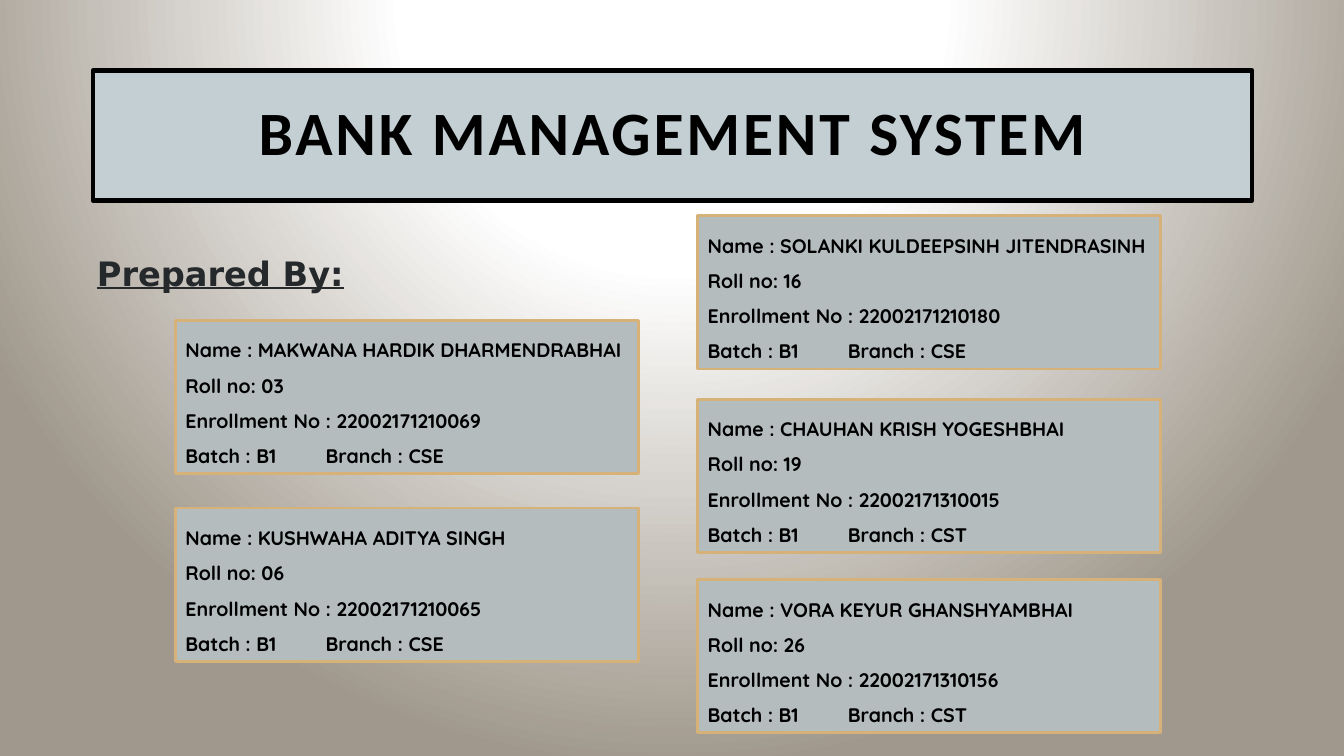
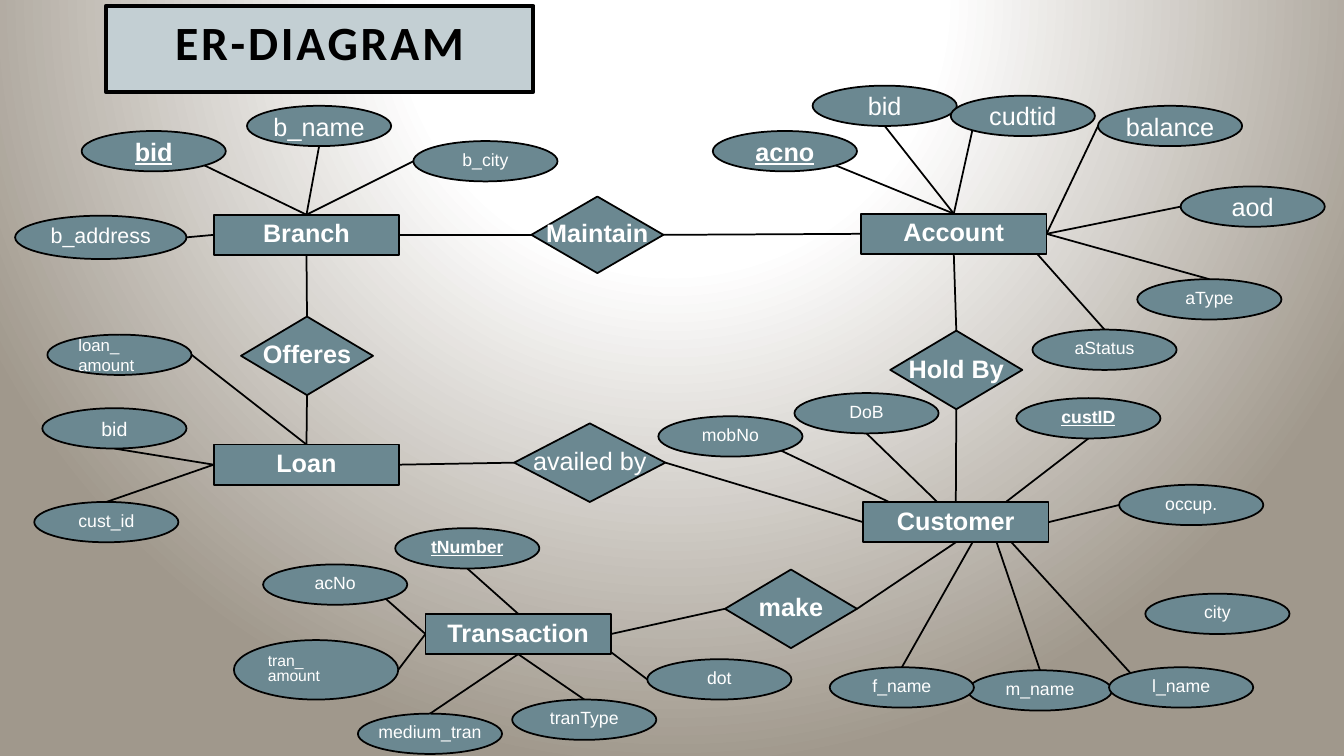
from dataclasses import dataclass

from pptx import Presentation
from pptx.dml.color import RGBColor
from pptx.enum import shapes, text
from pptx.oxml import parse_xml
from pptx.oxml.ns import nsdecls
from pptx.util import Inches, Pt

BLACK = RGBColor(0x00, 0x00, 0x00)
WHITE = RGBColor(0xFF, 0xFF, 0xFF)
INK = RGBColor(0x25, 0x29, 0x2B)
TITLE_FILL = RGBColor(0xC3, 0xCF, 0xD3)
CARD_FILL = RGBColor(0xB4, 0xBC, 0xBE)
CARD_EDGE = RGBColor(0xD6, 0xB2, 0x78)
NODE_FILL = RGBColor(0x6B, 0x88, 0x91)
BACKDROP_EDGE = RGBColor(0xA0, 0x98, 0x8C)

RECT = shapes.MSO_SHAPE.RECTANGLE
OVAL = shapes.MSO_SHAPE.OVAL
DIAMOND = shapes.MSO_SHAPE.DIAMOND
LEFT, CENTER = text.PP_ALIGN.LEFT, text.PP_ALIGN.CENTER

# Font size and line spacing
LARGE = (18, 1)
SMALL = (12.6, 0.8)
STRONG = (18, 0.9)

# Anchor points as fractions of a node's width and height
ANCHORS = {
    "n": (0.5, 0), "s": (0.5, 1), "w": (0, 0.5), "e": (1, 0.5),
    "nw": (0.15, 0.15), "sw": (0.15, 0.85), "se": (0.85, 0.85),
}


@dataclass
class Entity:
    text: str
    x: float
    y: float
    w: float = 1.84
    h: float = 0.4


@dataclass
class Attribute:
    """An oval; own and far are the anchors of its line to the entity."""
    text: str
    x: float
    y: float
    own: object = None
    far: object = None
    font: tuple = SMALL
    key: bool = False
    w: float = 1.43
    h: float = 0.4


@dataclass
class Relation:
    """A diamond; ends lists (own anchor, entity, entity anchor)."""
    text: str
    x: float
    y: float
    ends: list
    w: float = 1.31
    h: float = 0.78
    bold: bool = True


BRANCH = Entity("Branch", 2.12, 2.13)
ACCOUNT = Entity("Account", 8.54, 2.12)
LOAN = Entity("Loan", 2.12, 4.41)
CUSTOMER = Entity("Customer", 8.56, 4.98)
TRANSACTION = Entity("Transaction", 4.22, 6.09)

DIAGRAM = [
    (BRANCH, [
        Attribute("b_name", 2.45, 1.05, "s", "n", LARGE),
        Attribute("bid", 0.81, 1.3, "se", "n", LARGE, key=True),
        Attribute("b_city", 4.1, 1.4, "w", "n"),
        Attribute("b_address", 0.15, 2.14, "e", "w", (15.3, 0.8), w=1.7, h=0.43),
    ]),
    (ACCOUNT, [
        Attribute("acno", 7.07, 1.3, "se", "n", LARGE, key=True),
        Attribute("bid", 8.06, 0.85, "s", "n", LARGE),
        Attribute("cudtid", 9.43, 0.95, "sw", "n", LARGE),
        Attribute("balance", 10.89, 1.05, "w", "e", LARGE),
        Attribute("aod", 11.71, 1.85, "w", "e", LARGE),
        Attribute("aType", 11.28, 2.77, "n", "e"),
        Attribute("aStatus", 10.24, 3.27, "n", (0.95, 1)),
    ]),
    (LOAN, [
        Attribute("loan_\namount", 0.47, 3.32, "e", "n", (12, 1)),
        Attribute("bid", 0.42, 4.05, "s", "w", (14, 1)),
        Attribute("cust_id", 0.34, 4.98, "n", "w"),
    ]),
    (CUSTOMER, [
        Attribute("mobNo", 6.53, 4.13, "se", (0.14, 0)),
        Attribute("DoB", 7.88, 3.9, "s", (0.4, 0)),
        Attribute("custID", 10.08, 3.95, "s", (0.77, 0), key=True),
        Attribute("occup.", 11.1, 4.81, "w", "e"),
        Attribute("city", 11.36, 5.89),
        Attribute("m_name", 9.6, 6.65, "n", (0.72, 1)),
        Attribute("l_name", 11, 6.62, "nw", (0.8, 1)),
        Attribute("f_name", 8.23, 6.62, "n", (0.59, 1)),
    ]),
    (TRANSACTION, [
        Attribute("tNumber", 3.92, 5.24, "s", "n", key=True),
        Attribute("acNo", 2.61, 5.6, "se", "w"),
        Attribute("tran_\namount", 2.32, 6.35, "e", "w", (11.2, 0.8), w=1.63, h=0.59),
        Attribute("medium_tran", 3.55, 7.08, "n", "s"),
        Attribute("tranType", 5.08, 6.94, "n", "s"),
        Attribute("dot", 6.42, 6.54, "w", (1, 0.95)),
    ]),
]

RELATIONS = [
    Relation("Maintain", 5.27, 1.95, [("w", BRANCH, "e"), ("e", ACCOUNT, "w")], h=0.76),
    Relation("Offeres", 2.39, 3.14, [("n", BRANCH, "s"), ("s", LOAN, "n")]),
    Relation("availed by", 5.1, 4.2, [("w", LOAN, "e"), ("e", CUSTOMER, "w")],
             w=1.5, bold=False),
    Relation("Hold By", 8.83, 3.28, [("n", ACCOUNT, "s"), ("s", CUSTOMER, "n")]),
    Relation("make", 7.19, 5.65, [("w", TRANSACTION, "e"), ("e", CUSTOMER, "s")]),
]

# Left, top, name, roll number, enrollment number, branch
STUDENTS = [
    (1.74, 3.18, "MAKWANA HARDIK DHARMENDRABHAI", "03", "22002171210069", "CSE"),
    (1.74, 5.04, "KUSHWAHA ADITYA SINGH", "06", "22002171210065", "CSE"),
    (6.92, 2.14, "SOLANKI KULDEEPSINH JITENDRASINH", "16", "22002171210180", "CSE"),
    (6.92, 3.96, "CHAUHAN KRISH YOGESHBHAI", "19", "22002171310015", "CST"),
    (6.92, 5.75, "VORA KEYUR GHANSHYAMBHAI", "26", "22002171310156", "CST"),
]


def point(node, anchor):
    fx, fy = ANCHORS.get(anchor, anchor)
    return Inches(node.x + fx * node.w), Inches(node.y + fy * node.h)


class Deck:
    """Holds the presentation, its style and the current slide."""

    def __init__(self):
        self.prs = Presentation()
        self.prs.slide_width, self.prs.slide_height = Inches(13.33), Inches(7.5)
        self.s = None
        self.backdrop()

    def backdrop(self):
        """Give the master a round gradient centred above the slide."""
        master = self.prs.slide_master
        master.background.fill.solid()
        solid = master.element.xpath("p:cSld/p:bg/p:bgPr/a:solidFill")[0]
        stops = "".join(
            f'<a:gs pos="{pos}"><a:srgbClr val="{color}"/></a:gs>'
            for pos, color in [(0, WHITE), (35000, WHITE), (100000, BACKDROP_EDGE)])
        solid.getparent().replace(solid, parse_xml(
            f'<a:gradFill {nsdecls("a")} rotWithShape="1"><a:gsLst>{stops}</a:gsLst>'
            '<a:path path="circle"><a:fillToRect l="50000" t="-80000" r="50000"'
            ' b="180000"/></a:path></a:gradFill>'))

    def slide(self, title, x, y, w, h, size, spacing):
        self.s = self.prs.slides.add_slide(self.prs.slide_layouts[5])
        sp = self.s.shapes.title
        sp.left, sp.top, sp.width, sp.height = map(Inches, (x, y, w, h))
        self.paint(sp, TITLE_FILL, BLACK, 3)
        tf = sp.text_frame
        tf.margin_left = tf.margin_right = Inches(0.3)
        tf.margin_top = tf.margin_bottom = Inches(0.2)
        self.set_text(tf, title, "Calibri", size, BLACK, True, spacing=spacing)
        for r in tf.paragraphs[0].runs:
            r.font._element.set("spc", "200")

    def paint(self, sp, fill, edge, width):
        sp.fill.solid()
        sp.fill.fore_color.rgb = fill
        sp.line.color.rgb = edge
        sp.line.width = Pt(width)

    def set_text(self, tf, words, font, size, color, bold=False, underline=False,
                 spacing=1, align=CENTER, wrap=True):
        tf.text = words
        tf.word_wrap = wrap
        tf.auto_size = text.MSO_AUTO_SIZE.NONE
        tf.vertical_anchor = text.MSO_ANCHOR.MIDDLE
        for p in tf.paragraphs:
            p.alignment = align
            p.line_spacing = spacing
            for r in p.runs:
                r.font.name, r.font.size = font, Pt(size)
                r.font.bold, r.font.underline = bold, underline
                r.font.color.rgb = color

    def shape(self, kind, x, y, w, h, fill, edge, width):
        sp = self.s.shapes.add_shape(kind, *map(Inches, (x, y, w, h)))
        sp.shadow.inherit = False
        self.paint(sp, fill, edge, width)
        return sp

    def heading(self, words, x, y, w, h):
        tf = self.s.shapes.add_textbox(*map(Inches, (x, y, w, h))).text_frame
        self.set_text(tf, words, "DejaVu Sans", 24, INK, True, True, wrap=False)
        tf.paragraphs[0].space_before = Pt(10)

    def card(self, x, y, name, roll, enrollment, branch):
        tf = self.shape(RECT, x, y, 4.59, 1.52, CARD_FILL, CARD_EDGE, 2).text_frame
        lines = [f"Name : {name}", f"Roll no: {roll}",
                 f"Enrollment No : {enrollment}", f"Batch : B1\tBranch : {branch}"]
        self.set_text(tf, "\n".join(lines), "Quicksand", 14, BLACK, True,
                      spacing=1.5, align=LEFT)
        tf.paragraphs[-1]._p.get_or_add_pPr().append(parse_xml(
            f'<a:tabLst {nsdecls("a")}><a:tab pos="{Inches(1.39)}" algn="l"/></a:tabLst>'))

    def node(self, kind, item, font, bold, underline=False):
        sp = self.shape(kind, item.x, item.y, item.w, item.h, NODE_FILL, BLACK, 1.25)
        size, spacing = font
        align = LEFT if "\n" in item.text else CENTER
        self.set_text(sp.text_frame, item.text, "Arial", size, WHITE, bold, underline,
                      spacing, align, wrap=False)

    def link(self, a, a_anchor, b, b_anchor):
        line = self.s.shapes.add_connector(
            shapes.MSO_CONNECTOR.STRAIGHT, *point(a, a_anchor), *point(b, b_anchor))
        line.line.color.rgb = BLACK
        line.line.width = Pt(1.25)
        line._element.spPr.append(parse_xml(f'<a:effectLst {nsdecls("a")}/>'))


def cover(deck):
    deck.slide("BANK MANAGEMENT SYSTEM", 0.92, 0.7, 11.5, 1.29, 44, 0.9)
    deck.heading("Prepared By:", 0.81, 2.37, 2.75, 0.68)
    for student in STUDENTS:
        deck.card(*student)


def er_diagram(deck):
    deck.slide("ER-DIAGRAM", 1.05, 0.06, 4.24, 0.85, 34.1, 0.7)
    for entity, attributes in DIAGRAM:
        for a in attributes:
            if a.own:
                deck.link(a, a.own, entity, a.far)
    for relation in RELATIONS:
        for own, entity, far in relation.ends:
            deck.link(relation, own, entity, far)
        deck.node(DIAMOND, relation, STRONG, relation.bold)
    for entity, attributes in DIAGRAM:
        deck.node(RECT, entity, STRONG, True)
        for a in attributes:
            deck.node(OVAL, a, a.font, a.key, a.key)


def main():
    deck = Deck()
    cover(deck)
    er_diagram(deck)
    deck.prs.save("out.pptx")


if __name__ == "__main__":
    main()
